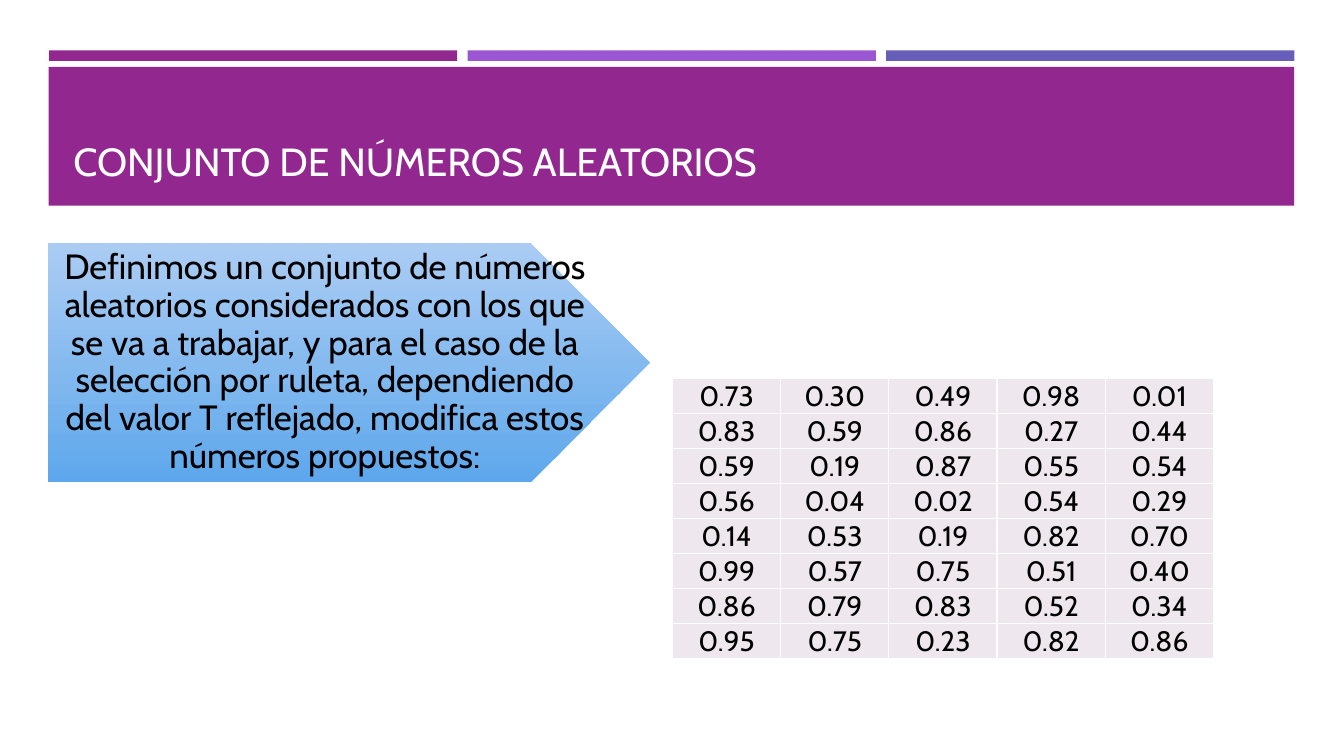
from lxml.etree import SubElement
from pptx import Presentation
from pptx.dml.color import RGBColor
from pptx.enum.shapes import MSO_SHAPE as Kind
from pptx.enum.text import MSO_ANCHOR as Anchor, PP_ALIGN as Align
from pptx.oxml import parse_xml
from pptx.oxml.ns import nsdecls, qn
from pptx.util import Pt

FONT = "Cabin"
WHITE = RGBColor(0xFF, 0xFF, 0xFF)
BLACK = RGBColor(0, 0, 0)
PLUM = RGBColor(0x92, 0x27, 0x8F)
VIOLET = RGBColor(0x9B, 0x57, 0xD3)
INDIGO = RGBColor(0x66, 0x5E, 0xB8)
PALE = RGBColor(0xA2, 0xC8, 0xF3)
BLUE = RGBColor(0x5E, 0xA8, 0xED)
LILAC = RGBColor(0xEE, 0xE8, 0xEE)

TITLE = "CONJUNTO DE NÚMEROS ALEATORIOS"
INTRO = ("Definimos un conjunto de números aleatorios considerados con los que "
         "se va a trabajar, y para el caso de la selección por ruleta, "
         "dependiendo del valor T reflejado, modifica estos números propuestos:")
ROWS = [
    ["0.73", "0.30", "0.49", "0.98", "0.01"],
    ["0.83", "0.59", "0.86", "0.27", "0.44"],
    ["0.59", "0.19", "0.87", "0.55", "0.54"],
    ["0.56", "0.04", "0.02", "0.54", "0.29"],
    ["0.14", "0.53", "0.19", "0.82", "0.70"],
    ["0.99", "0.57", "0.75", "0.51", "0.40"],
    ["0.86", "0.79", "0.83", "0.52", "0.34"],
    ["0.95", "0.75", "0.23", "0.82", "0.86"],
]


def add_block(shapes, kind, box):
    block = shapes.add_shape(kind, *map(Pt, box))
    block.shadow.inherit = False
    block.line.fill.background()
    return block


def add_bar(shapes, box, color):
    bar = add_block(shapes, Kind.RECTANGLE, box)
    bar.fill.solid()
    bar.fill.fore_color.rgb = color


def add_arrow(shapes, box):
    arrow = add_block(shapes, Kind.PENTAGON, box)
    arrow.fill.gradient()
    arrow.fill.gradient_angle = 270
    for stop, color in zip(arrow.fill.gradient_stops, (PALE, BLUE)):
        stop.color.rgb = color
    first = arrow.element.spPr.xpath(".//a:srgbClr")[0]
    SubElement(first, qn("a:alpha"), val="90000")


def write(para, text, size, color, align):
    para.alignment = align
    run = para.add_run()
    run.text = text
    run.font.name = FONT
    run.font.size = Pt(size)
    run.font.color.rgb = color


def set_inset(area, inset):
    (area.margin_left, area.margin_top,
     area.margin_right, area.margin_bottom) = map(Pt, inset)


def add_text(shapes, box, inset, anchor, text, size, color, align, space=1.0):
    frame = shapes.add_textbox(*map(Pt, box)).text_frame
    frame.word_wrap = True
    frame.vertical_anchor = anchor
    set_inset(frame, inset)
    para = frame.paragraphs[0]
    para.line_spacing = space
    write(para, text, size, color, align)


def add_edges(cell):
    props = cell._tc.get_or_add_tcPr()
    for spot, side in enumerate(("lnL", "lnR", "lnT", "lnB")):
        props.insert(spot, parse_xml(
            f'<a:{side} {nsdecls("a")} w="{Pt(1)}"><a:solidFill>'
            f'<a:srgbClr val="{WHITE}"/></a:solidFill></a:{side}>'))


def add_grid(shapes, left, top, wide, high):
    count, width = len(ROWS), len(ROWS[0])
    table = shapes.add_table(count, width, Pt(left), Pt(top),
                             Pt(wide * width), Pt(high * count)).table
    table.first_row = table.horz_banding = False
    for col in table.columns:
        col.width = Pt(wide)
    for row, values in zip(table.rows, ROWS):
        row.height = Pt(high)
        for cell, value in zip(row.cells, values):
            cell.fill.solid()
            cell.fill.fore_color.rgb = LILAC
            cell.vertical_anchor = Anchor.BOTTOM
            set_inset(cell, (0.7, 0.7, 0.7, 0))
            write(cell.text_frame.paragraphs[0], value, 20, BLACK, Align.CENTER)
            add_edges(cell)


def main():
    deck = Presentation()
    deck.slide_width, deck.slide_height = Pt(960), Pt(540)
    shapes = deck.slides.add_slide(deck.slide_layouts[6]).shapes
    for spot, color in enumerate((PLUM, VIOLET, INDIGO)):
        add_bar(shapes, (35 + 299 * spot, 36, 291.6, 7.5), color)
    add_bar(shapes, (34.8, 47.7, 889.6, 99.2), PLUM)
    add_text(shapes, (45.4, 57.6, 868, 77.8), (7.2, 3.6, 7.2, 3.6),
             Anchor.BOTTOM, TITLE, 28, WHITE, Align.LEFT)
    group = shapes.add_group_shape().shapes
    add_arrow(group, (35, 174, 429, 170))
    add_text(group, (35, 174, 386, 170), (10.8, 5, 2.9, 5),
             Anchor.MIDDLE, INTRO, 25, BLACK, Align.CENTER, 0.9)
    add_grid(shapes, 480.4, 270, 77.3, 25.1)
    deck.save("out.pptx")


if __name__ == "__main__":
    main()
